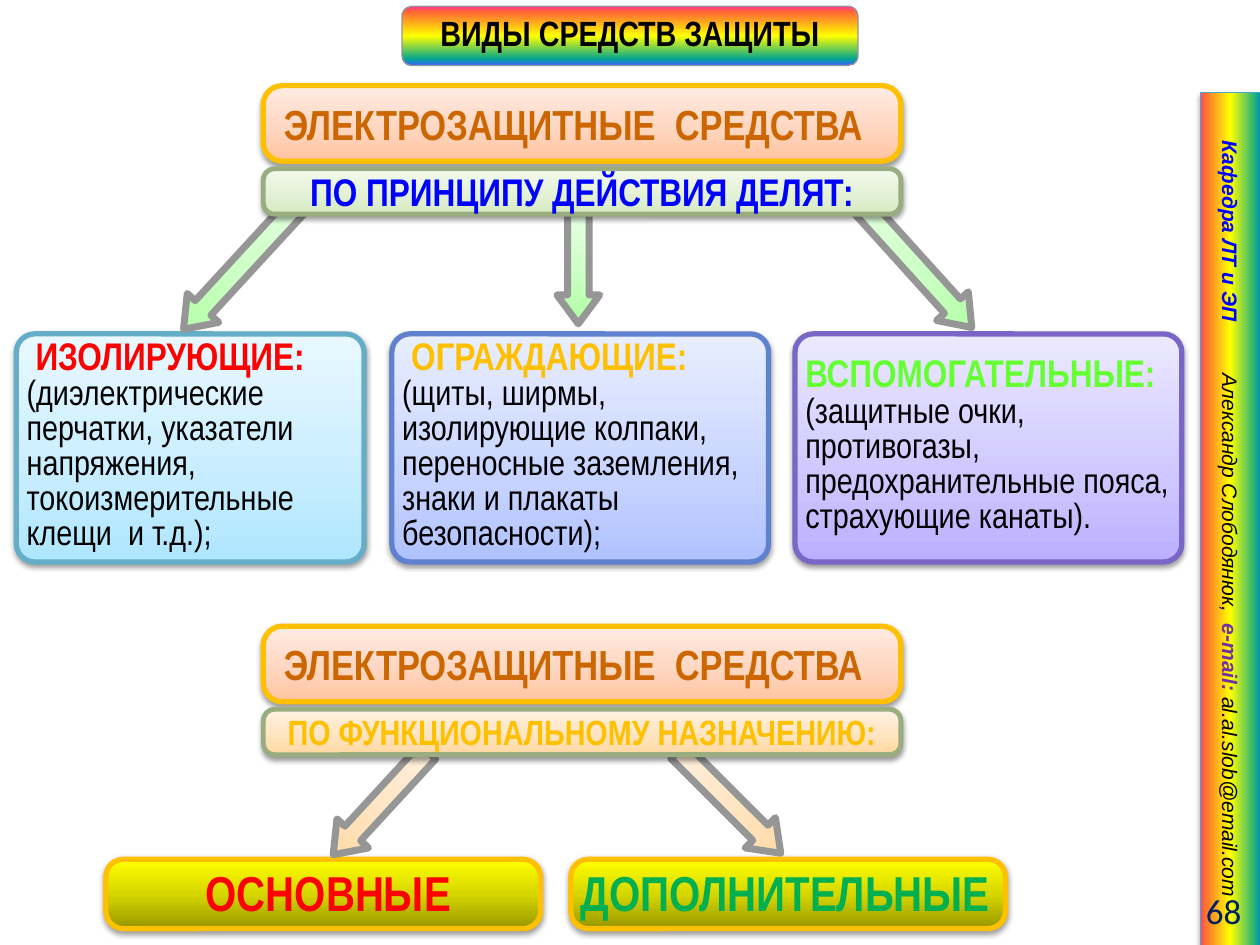
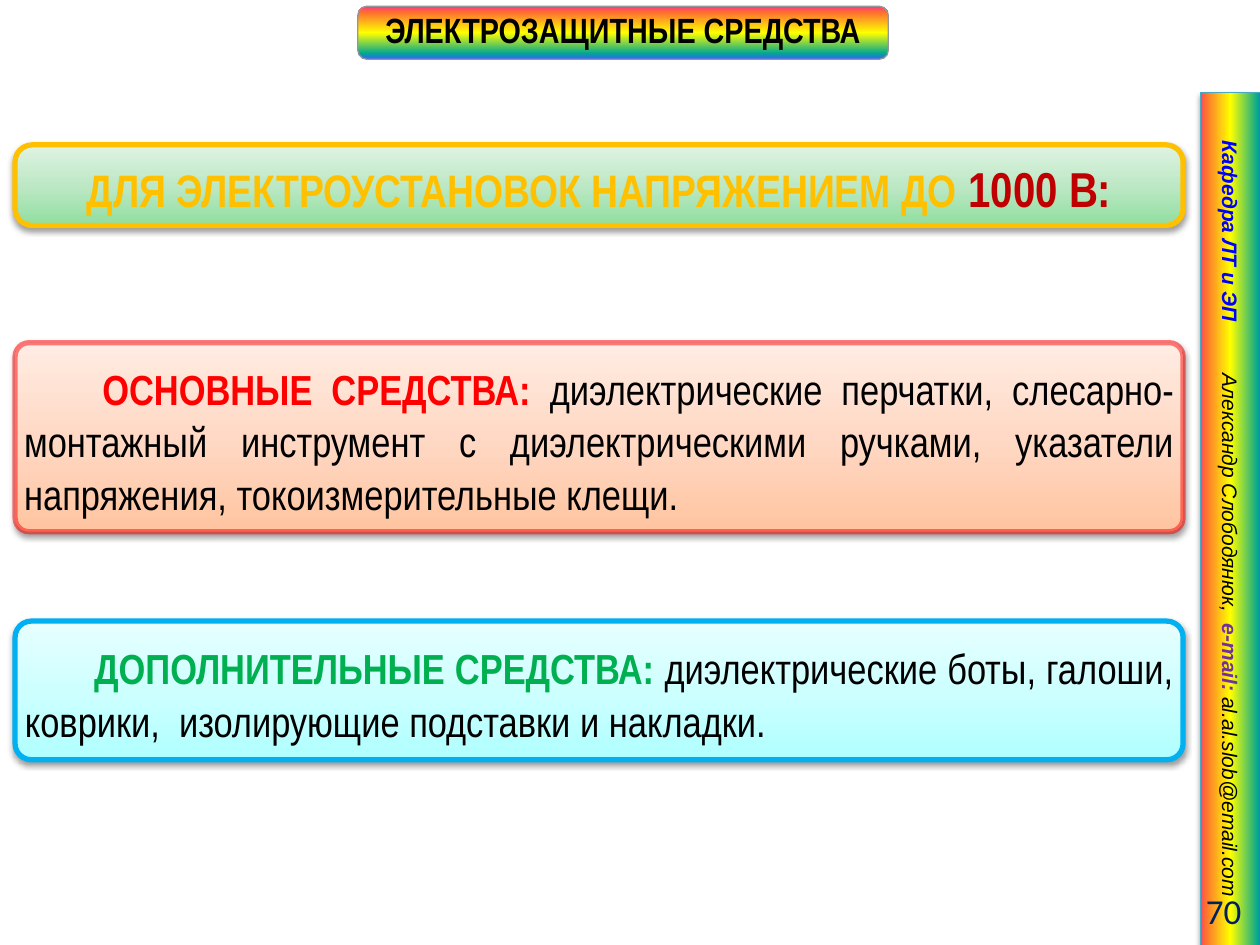
from lxml import etree
from pptx import Presentation
from pptx import util as u
from pptx.dml.color import RGBColor
from pptx.enum import shapes, text
from pptx.oxml.ns import qn

NARROW = "Arial Narrow"
BLACK, RED, BLUE, AMBER, GREEN = "000000", "FF0000", "0000FF", "FFC000", "00B050"
GREY, OLIVE = "969696", "99AD80"
LEFT, CENTER, JUSTIFY, RIGHT = (text.PP_ALIGN.LEFT, text.PP_ALIGN.CENTER,
                                text.PP_ALIGN.JUSTIFY, text.PP_ALIGN.RIGHT)


def ramp(dark, middle, light, position=50):
    return [(0, dark), (position, middle), (100, light)]


def rainbow(start, end, last=100):
    return [(0, "FF3399"), (start, "FF6633"), (50, "FFFF00"), (end, "01A78F"), (last, "3366FF")]


PEACH = ramp("FFC4A0", "FFD9C5", "FFECE3")
APRICOT = ramp("FFD8A0", "FFE6C5", "FFF2E3")
LIME = ramp("AFFFA3", "CEFFC7", "E7FFE4")
GOLD = ramp("979700", "D7D700", "FFFF00")
LEAF = ramp("D5EBBF", "E1F0D2", "F3FAED", 35)
MINT = ramp("91DEA0", "BDE8C5", "DFF3E3")
AQUA = ramp("AFFFFF", "CEFFFF", "E7FFFF")
SKY = ramp("AEE6FF", "C6EDFF", "E9F8FF", 35)
INDIGO = ramp("B0C2FF", "C6D3FF", "E9EEFF", 35)
VIOLET = ramp("BBAEFF", "CEC6FF", "ECE9FF", 35)

HAIRLINE = (0.07, 55)  # text outline: points, opacity in percent


def rgb(value):
    return RGBColor.from_string(value)


def add_color(parent, value, opacity=100):
    color = etree.SubElement(parent, qn("a:srgbClr"), val=value)
    if opacity < 100:
        etree.SubElement(color, qn("a:alpha"), val=str(opacity * 1000))


def piece(content, **style):
    return content, style


class Deck:
    """Holds the presentation, the current slide and the shared style."""

    def __init__(self):
        self.prs = Presentation()
        self.prs.slide_width, self.prs.slide_height = u.Inches(10), u.Inches(7.5)
        self.slide = None

    def new_slide(self, title, number, title_box):
        self.slide = self.prs.slides.add_slide(self.prs.slide_layouts[6])
        self.side_band()
        self.page_number(number)
        title_shape = self.box(title_box, rainbow(9, 89, 99), GREY, 0.75, angle=270,
                               shadow=False, corner=None)
        self.put_text(title_shape, [piece(title)], size=20, color=BLACK, align=CENTER,
                      leading=20)

    def side_band(self):
        band = self.box((6.38, 3.88, 6.77, 0.48), rainbow(6, 96), "46AAC5", 0.75,
                        kind=shapes.MSO_SHAPE.RECTANGLE, corner=None)
        band.rotation = 90
        self.put_text(band, [piece("Кафедра ЛТ и ЭП", color=BLUE),
                             piece(" ", tracking=26.7),
                             piece("Александр Слободянюк,  ", bold=False),
                             piece("e-mail: ", color="7030A0"),
                             piece("al.al.slob@email.com", bold=False)],
                      size=12, font="Arial", color=BLACK, italic=True, align=CENTER,
                      insets=(0.1, 0.05, 0.1, 0.05))

    def page_number(self, number):
        box = self.slide.shapes.add_textbox(*map(u.Inches, (8.86, 7.03, 1.09, 0.4)))
        self.put_text(box, [piece(str(number))], size=20, font="Calibri", color="002060",
                      bold=False, align=RIGHT, insets=(0.1, 0.05, 0.1, 0.05))

    def box(self, place, stops, line, width=3, kind=shapes.MSO_SHAPE.ROUNDED_RECTANGLE,
            corner=0.25, angle=90, shadow=True, line_opacity=100):
        shape = self.slide.shapes.add_shape(kind, *map(u.Inches, place))
        if corner is not None:
            shape.adjustments[0] = corner
        self.paint(shape, stops, angle)
        shape.line.color.rgb = rgb(line)
        shape.line.width = u.Pt(width)
        if line_opacity < 100:
            solid = shape._element.spPr.find(qn("a:ln")).find(qn("a:solidFill"))
            solid.clear()
            add_color(solid, line, line_opacity)
        shape.shadow.inherit = False
        if shadow:
            self.drop_shadow(shape)
        return shape

    def paint(self, shape, stops, angle):
        """Fill with a linear gradient; the angle runs counter-clockwise."""
        shape.fill.gradient()
        shape.fill.gradient_angle = angle
        stop_list = shape._element.spPr.find(qn("a:gradFill")).find(qn("a:gsLst"))
        stop_list.clear()
        for position, value in stops:
            add_color(etree.SubElement(stop_list, qn("a:gs"), pos=str(position * 1000)), value)

    def drop_shadow(self, shape):
        effects = shape._element.spPr.find(qn("a:effectLst"))
        outer = etree.SubElement(effects, qn("a:outerShdw"), blurRad="40000", dist="20000",
                                 dir="5400000", rotWithShape="0")
        add_color(outer, BLACK, 38)

    def arrow(self, place, stops, rotation=0):
        arrow = self.box(place, stops, GREY, 4, kind=shapes.MSO_SHAPE.DOWN_ARROW,
                         corner=0.5, shadow=False)
        arrow.adjustments[1] = 0.674
        arrow.rotation = rotation

    def put_text(self, shape, pieces, align=LEFT, leading=None, indent=0, half_before=False,
                 insets=(0.04, 0.04, 0.04, 0.04), **style):
        """Fill in one paragraph; style holds defaults that each piece may override."""
        frame = shape.text_frame
        frame.word_wrap = True
        frame.vertical_anchor = text.MSO_ANCHOR.MIDDLE
        (frame.margin_left, frame.margin_top,
         frame.margin_right, frame.margin_bottom) = map(u.Inches, insets)
        paragraph = frame.paragraphs[0]
        paragraph.alignment = align
        if leading:
            paragraph.line_spacing = u.Pt(leading)
        properties = paragraph._p.get_or_add_pPr()
        if indent:
            properties.set("marL", "0")
            properties.set("indent", str(u.Inches(indent)))
        if half_before:
            before = etree.SubElement(properties, qn("a:spcBef"))
            etree.SubElement(before, qn("a:spcPct"), val="50000")
        for content, own in pieces:
            self.add_piece(paragraph, content, **{**style, **own})

    def add_piece(self, paragraph, content, size, color, font=NARROW, bold=True, italic=False,
                  outline=None, tracking=0):
        run = paragraph.add_run()
        run.text = content
        run.font.name, run.font.size = font, u.Pt(size)
        run.font.bold, run.font.italic = bold, italic
        run.font.color.rgb = rgb(color)
        properties = run._r.get_or_add_rPr()
        if tracking:
            properties.set("spc", str(round(tracking * 100)))
        if outline:
            width, opacity = outline
            edge = etree.Element(qn("a:ln"), w=str(u.Pt(width)))
            add_color(etree.SubElement(edge, qn("a:solidFill")), BLACK, opacity)
            properties.insert(0, edge)

    def heading(self, top):
        heading = self.box((2.09, top, 5.06, 0.6), PEACH, AMBER)
        self.put_text(heading, [piece("ЭЛЕКТРОЗАЩИТНЫЕ  СРЕДСТВА")], size=24, color="CC6600",
                      outline=HAIRLINE, align=JUSTIFY, indent=0.08, half_before=True)

    def criterion(self, top, stops, label, **style):
        bar = self.box((2.09, top, 5.06, 0.36), stops, OLIVE, 2.75)
        self.put_text(bar, [piece(label)], align=CENTER, half_before=True, **style)

    def kind_card(self, left, width, stops, line, name, color, examples, indent):
        card = self.box((left, 2.65, width, 1.81), stops, line, corner=0.08)
        self.put_text(card, [piece(name + " ", size=22, color=color, outline=HAIRLINE),
                             piece(examples, bold=False)],
                      size=20, color=BLACK, leading=20, indent=indent)

    def role(self, left, name, **style):
        plate = self.box((left, 6.82, 3.45, 0.55), GOLD, AMBER)
        self.put_text(plate, [piece(name)], size=28, leading=28,
                      insets=(0.04, 0.04, 0.04, 0), **style)

    def wide_panel(self, top, height, stops, line, corner, pieces, line_opacity=100, **style):
        panel = self.box((0.12, top, 9.27, height), stops, line, corner=corner,
                         line_opacity=line_opacity)
        self.put_text(panel, pieces, insets=(0.04, 0.04, 0.04, 0), **style)


def protection_kinds(deck):
    deck.new_slide("ВИДЫ СРЕДСТВ ЗАЩИТЫ", 68, (3.19, 0.05, 3.62, 0.47))

    deck.heading(4.97)
    deck.role(0.84, "ОСНОВНЫЕ", color=RED, outline=HAIRLINE, align=CENTER, indent=0.08)
    deck.role(4.53, "ДОПОЛНИТЕЛЬНЫЕ", color=GREEN, outline=(1, 100))
    deck.arrow((2.85, 5.82, 0.34, 1.11), APRICOT, 42.6)
    deck.arrow((5.62, 5.79, 0.34, 1.15), APRICOT, 315)
    deck.criterion(5.63, APRICOT, "ПО ФУНКЦИОНАЛЬНОМУ НАЗНАЧЕНИЮ:", size=20, color=AMBER,
                   outline=(0.83, 100))

    deck.heading(0.68)
    for card in (
        (0.13, 2.76, SKY, "66AEC7", "ИЗОЛИРУЮЩИЕ:", RED,
         "(диэлектрические перчатки, указатели напряжения, токоизмерительные клещи  и т.д.);",
         0.07),
        (3.11, 2.99, INDIGO, "6081CD", "ОГРАЖДАЮЩИЕ:", AMBER,
         "(щиты, ширмы, изолирующие колпаки, переносные заземления, "
         "знаки и плакаты безопасности);", 0.07),
        (6.31, 3.07, VIOLET, "7A66C7", "ВСПОМОГАТЕЛЬНЫЕ:", "66FF33",
         "(защитные очки, противогазы, предохранительные пояса, страхующие канаты).", 0),
    ):
        deck.kind_card(*card)
    deck.arrow((4.42, 1.69, 0.34, 0.88), LIME)
    deck.arrow((7.1, 1.45, 0.34, 1.32), LIME, 317.9)
    deck.arrow((1.74, 1.45, 0.34, 1.34), LIME, 42.6)
    deck.criterion(1.34, LEAF, "ПО ПРИНЦИПУ ДЕЙСТВИЯ ДЕЛЯТ:", size=22, color=BLUE,
                   outline=HAIRLINE)


def low_voltage_means(deck):
    deck.new_slide("ЭЛЕКТРОЗАЩИТНЫЕ СРЕДСТВА", 70, (2.84, 0.05, 4.21, 0.42))
    deck.wide_panel(1.15, 0.64, MINT, AMBER, 0.211,
                    [piece("ДЛЯ ЭЛЕКТРОУСТАНОВОК НАПРЯЖЕНИЕМ ДО ", size=26, color=AMBER,
                           outline=(0.07, 100)),
                     piece("1000 В:", size=28, color="C00000", outline=HAIRLINE)],
                    align=CENTER, half_before=True)
    body = dict(size=24, color=BLACK, align=JUSTIFY, leading=30)
    deck.wide_panel(2.72, 1.5, PEACH, RED, 0.073,
                    [piece("ОСНОВНЫЕ СРЕДСТВА: ", color=RED, outline=HAIRLINE),
                     piece("диэлектрические перчатки, слесарно-монтажный инструмент с "
                           "диэлектрическими ручками, указатели напряжения, "
                           "токоизмерительные клещи.", bold=False)],
                    line_opacity=50, indent=0.62, **body)
    deck.wide_panel(4.93, 1.1, AQUA, "00B0F0", 0.117,
                    [piece("ДОПОЛНИТЕЛЬНЫЕ СРЕДСТВА: ", color=GREEN, outline=(1, 100)),
                     piece("диэлектрические боты, галоши, коврики,  изолирующие подставки "
                           "и накладки.", bold=False)],
                    indent=0.55, **body)


def main():
    deck = Deck()
    protection_kinds(deck)
    low_voltage_means(deck)
    deck.prs.save("out.pptx")


if __name__ == "__main__":
    main()
